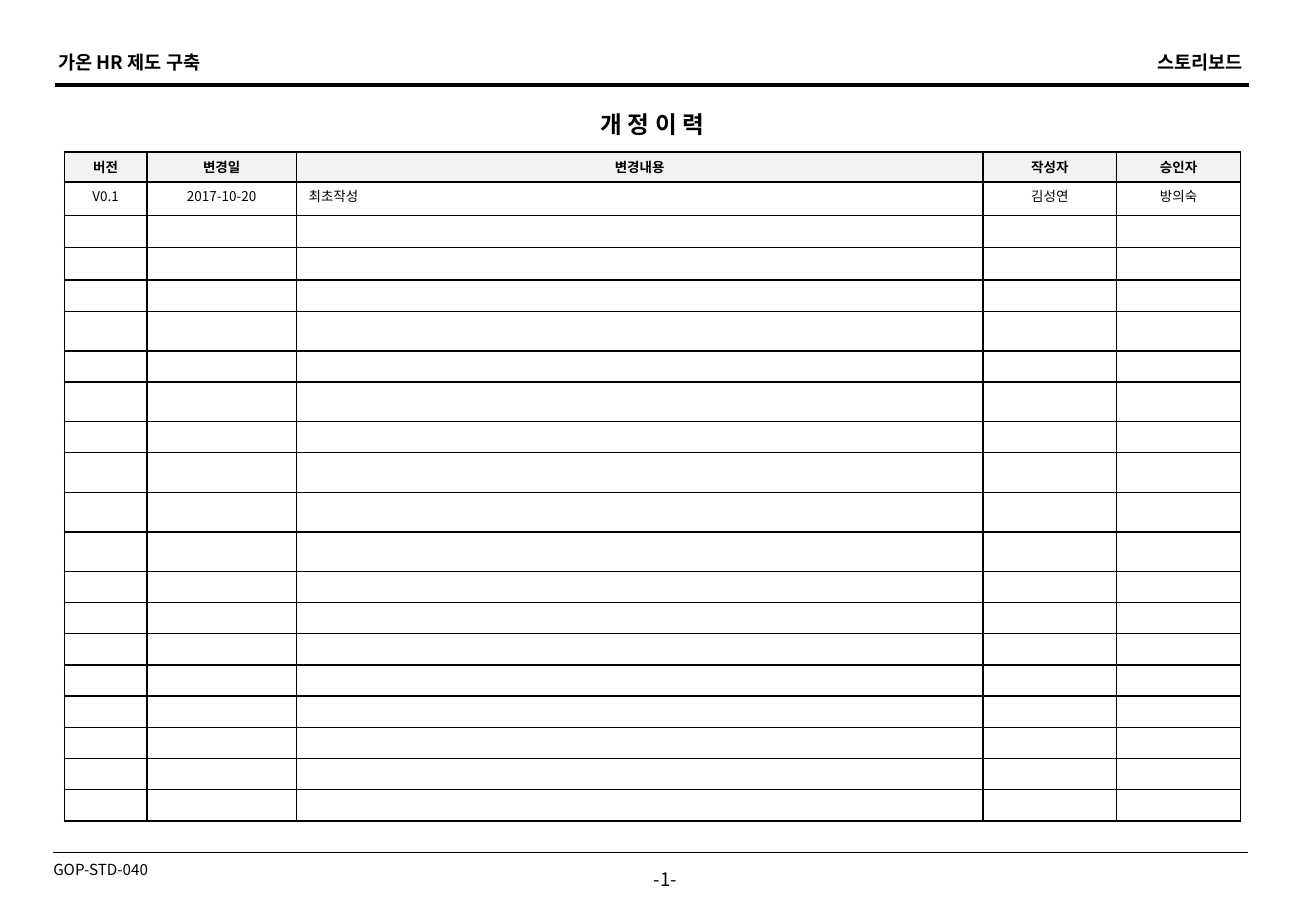
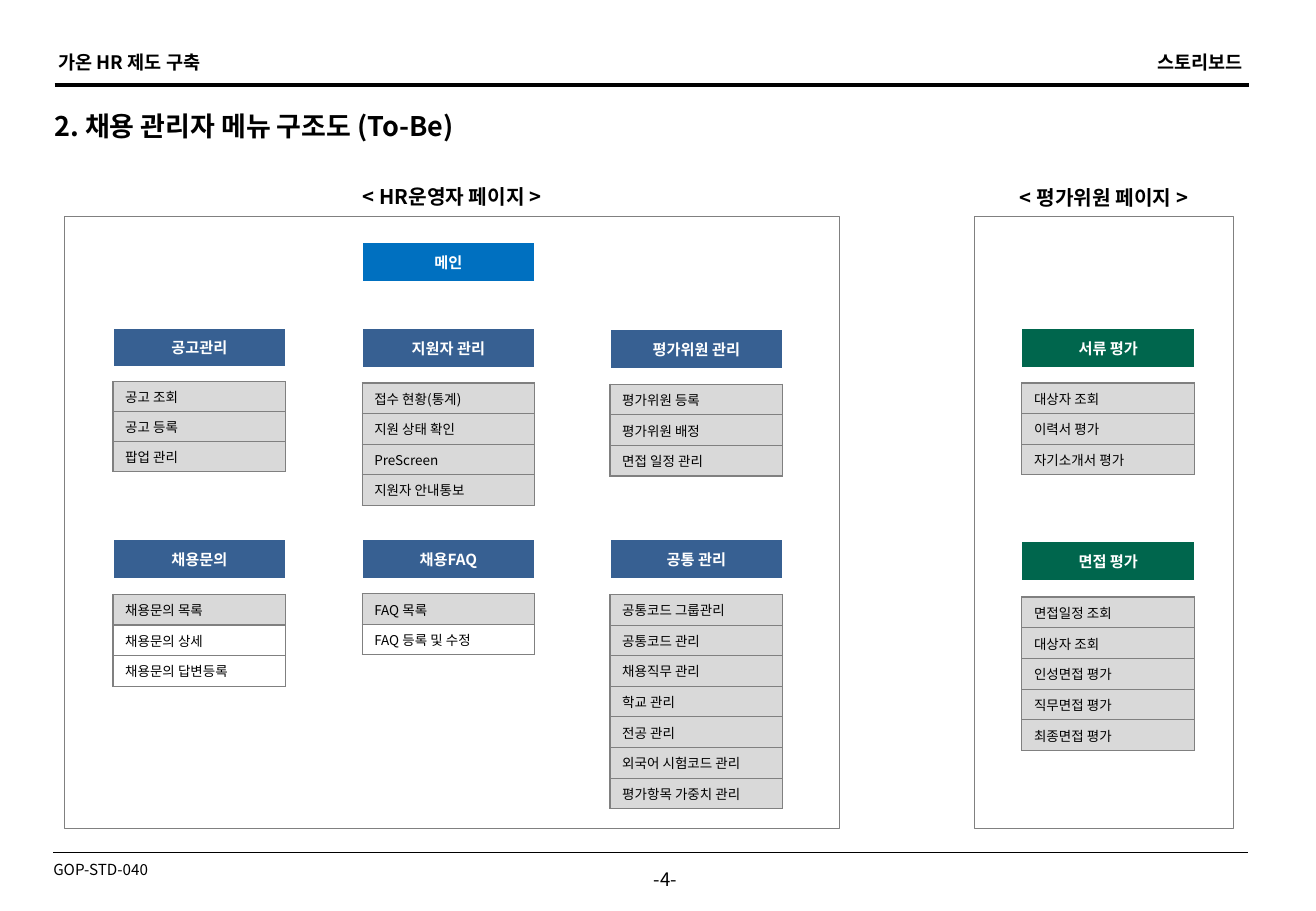
import pptx
import pptx.dml.color
import pptx.enum.shapes
import pptx.enum.text
import pptx.oxml.ns
import pptx.util
from lxml import etree

Inches, Pt = pptx.util.Inches, pptx.util.Pt
qn = pptx.oxml.ns.qn
ALIGN = pptx.enum.text.PP_ALIGN
MIDDLE = pptx.enum.text.MSO_ANCHOR.MIDDLE
FONT = "Noto Sans CJK KR"
C = {"black": "000000", "white": "FFFFFF", "pale": "F2F2F2", "item": "D9D9D9",
     "gray": "808080", "main": "0070C0", "operator": "376092", "evaluator": "00664D"}

REVISIONS = [["버전", "변경일", "변경내용", "작성자", "승인자"],
             ["V0.1", "2017-10-20", "최초작성", "김성연", "방의숙"]]
REVISION_COLS = [0.68, 1.23, 5.65, 1.1, 1.02]
REVISION_ROWS = [0.25, 0.28, 0.27, 0.27, 0.26, 0.33, 0.26, 0.33, 0.26] + [0.33] * 3 + [0.26] * 8

# left, top, height, heading, colour, items, number of shaded items
MENUS = [
    (2.98, 2.0, 0.32, "메인", "main", [], 0),
    (0.93, 2.7, 1.18, "공고관리", "operator", ["공고 조회", "공고 등록", "팝업 관리"], 3),
    (2.98, 2.7, 1.46, "지원자 관리", "operator",
     ["접수 현황(통계)", "지원 상태 확인", "PreScreen", "지원자 안내통보"], 4),
    (5.02, 2.71, 1.21, "평가위원 관리", "operator",
     ["평가위원 등록", "평가위원 배정", "면접 일정 관리"], 3),
    (0.93, 4.44, 1.21, "채용문의", "operator",
     ["채용문의 목록", "채용문의 상세", "채용문의 답변등록"], 1),
    (2.98, 4.44, 0.95, "채용FAQ", "operator", ["FAQ 목록", "FAQ 등록 및 수정"], 1),
    (5.02, 4.44, 2.22, "공통 관리", "operator",
     ["공통코드 그룹관리", "공통코드 관리", "채용직무 관리", "학교 관리", "전공 관리",
      "외국어 시험코드 관리", "평가항목 가중치 관리"], 7),
    (8.41, 2.7, 1.21, "서류 평가", "evaluator",
     ["대상자 조회", "이력서 평가", "자기소개서 평가"], 3),
    (8.41, 4.46, 1.72, "면접 평가", "evaluator",
     ["면접일정 조회", "대상자 조회", "인성면접 평가", "직무면접 평가", "최종면접 평가"], 5),
]


def rgb(name):
    """Return the named colour."""
    return pptx.dml.color.RGBColor.from_string(C[name])


def write(tf, text, size=8, bold=False, color="black", align=ALIGN.LEFT, spacing=None):
    """Put one formatted paragraph in a text frame."""
    p = tf.paragraphs[0]
    p.alignment = align
    if spacing:
        p.line_spacing = Pt(spacing)
    if not text:
        etree.SubElement(p._p, qn("a:endParaRPr"), sz=str(size * 100))
        return
    r = p.add_run()
    r.text = text
    r.font.size, r.font.bold, r.font.name = Pt(size), bold, FONT
    r.font.color.rgb = rgb(color)
    etree.SubElement(r._r.get_or_add_rPr(), qn("a:ea"), typeface=FONT)


def add_text(s, box, text, wrap=True, anchor=None, **fmt):
    """Add a text box."""
    tf = s.shapes.add_textbox(*map(Inches, box)).text_frame
    tf.word_wrap = wrap
    if anchor is not None:
        tf.vertical_anchor = anchor
    write(tf, text, **fmt)


def add_rule(s, left, top, width):
    """Add a black horizontal line across the page."""
    sp = s.shapes.add_connector(pptx.enum.shapes.MSO_CONNECTOR.STRAIGHT, Inches(left),
                                Inches(top), Inches(left + 9.83), Inches(top))
    sp.line.color.rgb, sp.line.width = rgb("black"), Pt(width)
    etree.SubElement(sp._element.spPr, qn("a:effectLst"))


def add_panel(s, left, width, title, title_top):
    """Add an outlined panel with its title above."""
    sp = s.shapes.add_shape(pptx.enum.shapes.MSO_SHAPE.RECTANGLE, Inches(left),
                            Inches(1.78), Inches(width), Inches(5.04))
    sp.shadow.inherit = False
    sp.fill.background()
    sp.line.color.rgb, sp.line.width = rgb("gray"), Pt(0.75)
    add_text(s, (left, title_top, width, 0.31), title, size=12, bold=True, align=ALIGN.CENTER)


def add_grid(s, left, top, height, cols, rows):
    """Add a plain table whose row heights are scaled to its full height."""
    table = s.shapes.add_table(len(rows), len(cols), Inches(left), Inches(top),
                               Inches(sum(cols)), Inches(height)).table
    table.first_row = table.horz_banding = False
    for col, width in zip(table.columns, cols):
        col.width = Inches(width)
    for row, share in zip(table.rows, rows):
        row.height = Inches(height * share / sum(rows))
    return table


def fill_cell(cell, text, fill=None, borders=("black",) * 4, weight=1, margin=0.04, **fmt):
    """Write a cell and set its fill and its left, right, top and bottom borders."""
    cell.vertical_anchor = MIDDLE
    cell.margin_top = cell.margin_bottom = Inches(margin)
    write(cell.text_frame, text, **fmt)
    if fill:
        cell.fill.solid()
        cell.fill.fore_color.rgb = rgb(fill)
    else:
        cell.fill.background()
    tcPr = cell._tc.get_or_add_tcPr()
    for i, (side, color) in enumerate(zip("LRTB", borders)):
        ln = etree.Element(qn("a:ln" + side), w=str(Pt(weight)))
        solid = etree.SubElement(ln, qn("a:solidFill"))
        etree.SubElement(solid, qn("a:srgbClr"), val=C[color])
        tcPr.insert(i, ln)


def add_revisions(s):
    """Add the revision history table."""
    table = add_grid(s, 0.53, 1.25, 5.51, REVISION_COLS, REVISION_ROWS)
    for i in range(len(REVISION_ROWS)):
        texts = REVISIONS[i] if i < len(REVISIONS) else [""] * len(REVISION_COLS)
        for j, text in enumerate(texts):
            fill_cell(table.cell(i, j), text, fill="pale" if i == 0 else None, bold=i == 0,
                      align=ALIGN.LEFT if i and j == 2 else ALIGN.CENTER,
                      spacing=8 if i == 1 else None)


def add_menu(s, left, top, height, heading, color, items, shaded):
    """Add a menu: coloured heading, narrow gap and a list of items."""
    rows = [0.32] + ([0.13] + [0.25] * len(items) if items else [])
    table = add_grid(s, left, top, height, [1.42], rows)
    fill_cell(table.cell(0, 0), heading, fill=color, borders=("white",) * 4, weight=0.75,
              size=9, bold=True, color="white", align=ALIGN.CENTER)
    if items:
        fill_cell(table.cell(1, 0), "", fill="white", weight=0.75, margin=0, size=2,
                  borders=("white", "white", "white", "gray"))
    for i, item in enumerate(items):
        fill_cell(table.cell(i + 2, 0), item, fill="item" if i < shaded else None,
                  borders=("gray",) * 4, weight=0.75)


def add_page(prs, number):
    """Add a slide with the shared header and footer."""
    s = prs.slides.add_slide(prs.slide_layouts[6])
    add_text(s, (5.21, 7.1, 0.53, 0.28), f"-{number}-", wrap=False, size=11, align=ALIGN.CENTER)
    add_rule(s, 0.44, 7.02, 0.75)
    add_rule(s, 0.45, 0.7, 2.75)
    add_text(s, (9.36, 0.37, 0.97, 0.29), "스토리보드", wrap=False, size=11, bold=True,
             align=ALIGN.RIGHT)
    add_text(s, (0.38, 0.37, 1.51, 0.29), "가온 HR 제도 구축", wrap=False, size=11, bold=True)
    add_text(s, (0.34, 7.03, 1.09, 0.25), "GOP-STD-040", wrap=False, size=9)
    return s


def main():
    """Build the two slides."""
    prs = pptx.Presentation()
    prs.slide_width, prs.slide_height = Inches(10.83), Inches(7.5)

    s = add_page(prs, 1)
    add_text(s, (0.52, 0.86, 9.7, 0.33), "개 정 이 력", anchor=MIDDLE, size=14, bold=True,
             align=ALIGN.CENTER)
    add_revisions(s)

    s = add_page(prs, 4)
    add_text(s, (0.35, 0.84, 8.19, 0.39), "2. 채용 관리자 메뉴 구조도 (To-Be)", anchor=MIDDLE,
             size=16, bold=True)
    for menu in MENUS:
        add_menu(s, *menu)
    add_panel(s, 0.53, 6.38, "< HR운영자 페이지 >", 1.47)
    add_panel(s, 8.02, 2.13, "< 평가위원 페이지 >", 1.48)

    prs.save("out.pptx")


main()
